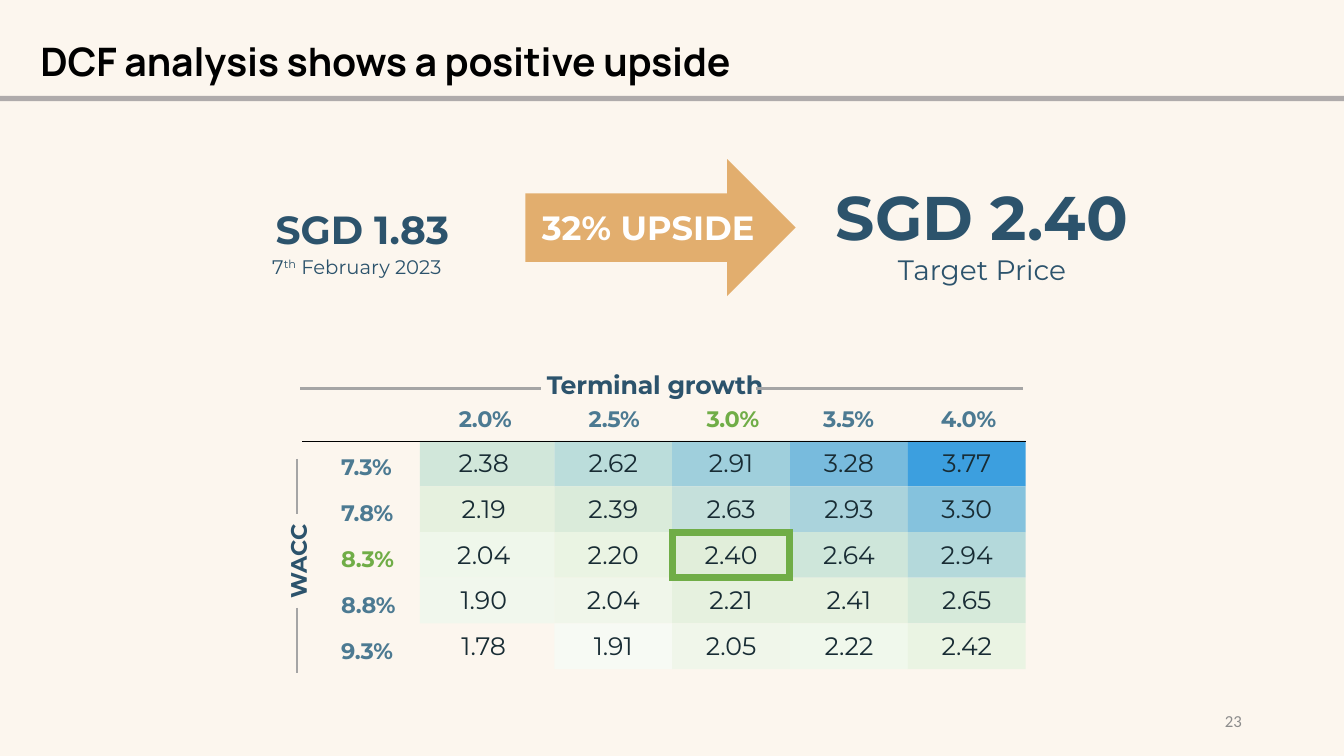
"""Build the DCF upside slide with its sensitivity table."""
from lxml import etree
from pptx import Presentation
from pptx import util as u
from pptx.dml.color import RGBColor
from pptx.enum import shapes, text
from pptx.oxml.ns import qn

HUE = {"back": "FCF6EE", "black": "000000", "white": "FFFFFF", "bar": "AFABAB",
       "rule": "A5A5A5", "page": "8C8C8C", "gold": "E2AE6E", "navy": "2C536C",
       "steel": "4C7A92", "green": "70AD47", "ink": "182C34"}
HEAT = {"7.3%": "D1E7DA BBDDDB 9FCFDC 78BBDD 3C9FDF",
        "7.8%": "E6F1DF DAEBDA C5E0DB AAD3DC 85C2DD",
        "8.3%": "EFF7EB EAF4E3 E1EEDA CEE6DA B4D9DB",
        "8.8%": "F1F7ED F0F6EA E6F1DF E6F1DF D6EADA",
        "9.3%": "none F7FAF4 F0F6EA F0F8EC EAF4E3"}
PRICE = {"7.3%": "2.38 2.62 2.91 3.28 3.77",
         "7.8%": "2.19 2.39 2.63 2.93 3.30",
         "8.3%": "2.04 2.20 2.40 2.64 2.94",
         "8.8%": "1.90 2.04 2.21 2.41 2.65",
         "9.3%": "1.78 1.91 2.05 2.22 2.42"}
GROWTH = ["2.0%", "2.5%", "3.0%", "3.5%", "4.0%"]
BASE = {"3.0%", "8.3%"}
TITLE = "DCF analysis shows a positive upside"

LEFT, TOP, ROW = 10.58, 11.11, 1.15
COLS = [3.39] + [2.97] * 4
HEADS = [3.3, 3.2, 2.78, 3.05, 3.0]
RULES = [(7.49, 11.56, 7.49, 12.95), (7.49, 15.32, 7.49, 16.97),
         (7.57, 9.79, 13.64, 9.79), (19.05, 9.79, 25.78, 9.79)]
PLAIN = "{2D5ABB26-0587-4C30-8999-92F81FD0307C}"
MID, RIGHT = text.PP_ALIGN.CENTER, text.PP_ALIGN.RIGHT
RECT = shapes.MSO_SHAPE.RECTANGLE

deck = Presentation()
deck.slide_width, deck.slide_height = u.Cm(33.87), u.Cm(19.05)
slide = deck.slides.add_slide(deck.slide_layouts[5])
items = slide.shapes


def rgb(name):
    return RGBColor.from_string(HUE.get(name, name))


def write(para, words, size, hue, bold=False, face="Montserrat", gap=0, lift=0):
    run = para.add_run()
    run.text = words
    font = run.font
    font.name, font.size, font.bold = face, u.Pt(size), bold
    font.color.rgb = rgb(hue)
    props = run._r.get_or_add_rPr()
    if gap:
        props.set("spc", str(gap))
    if lift:
        props.set("baseline", str(lift))


def inset(part, side=0, top=0):
    part.margin_left = part.margin_right = u.Cm(side)
    part.margin_top = part.margin_bottom = u.Cm(top)


def label(x, y, w, h, align=None):
    frame = items.add_textbox(*map(u.Cm, (x, y, w, h))).text_frame
    frame.word_wrap = True
    frame.paragraphs[0].alignment = align
    return frame


def block(kind, x, y, w, h, fill=None):
    shape = items.add_shape(kind, *map(u.Cm, (x, y, w, h)))
    shape.shadow.inherit = False
    if fill:
        shape.fill.solid()
        shape.fill.fore_color.rgb = rgb(fill)
    else:
        shape.fill.background()
    shape.line.fill.background()
    return shape


def rule(ends, hue, width):
    line = items.add_connector(shapes.MSO_CONNECTOR.STRAIGHT, *map(u.Cm, ends))
    line.line.color.rgb, line.line.width = rgb(hue), u.Pt(width)
    etree.SubElement(line._element.spPr, qn("a:effectLst"))


def grid(x, y, cols, count, high):
    spot = map(u.Cm, (x, y, sum(cols), count * high))
    table = items.add_table(count, len(cols), *spot).table
    table.first_row = table.horz_banding = False
    table._tbl.tblPr[0].text = PLAIN
    for col, width in zip(table.columns, cols):
        col.width = u.Cm(width)
    for cell in table.iter_cells():
        inset(cell)
        cell.fill.background()
        cell.text_frame.paragraphs[0].alignment = MID
    return table


back = slide.background.fill
back.solid()
back.fore_color.rgb = rgb("back")

head = items.title
head.left, head.top, head.width, head.height = map(u.Cm, (1.02, 0.91, 28.9, 1.24))
frame = head.text_frame
inset(frame)
frame.vertical_anchor = text.MSO_ANCHOR.MIDDLE
frame.paragraphs[0].alignment = text.PP_ALIGN.LEFT
write(frame.paragraphs[0], TITLE, 28, "black", True, "Manrope", -10)
block(RECT, 0, 2.42, 33.87, 0.13, "bar")

block(shapes.MSO_SHAPE.RIGHT_ARROW, 13.24, 4.01, 6.81, 3.45, "gold")
frame = label(12.93, 5.08, 6.81, 1.27, MID)
write(frame.paragraphs[0], "32% UPSIDE", 24, "white", True)
frame = label(6.61, 5.04, 5.05, 1.45, MID)
write(frame.paragraphs[0], "SGD 1.83", 28, "navy", True)
date = label(6.61, 6.3, 5.05, 0.87).paragraphs[0]
for words, lift in [("7", 0), ("th", 30000), (" February 2023", 0)]:
    write(date, words, 14, "navy", lift=lift)
frame = label(20.51, 4.38, 8.48, 3, MID)
write(frame.paragraphs[0], "SGD 2.40", 44, "navy", True)
goal = frame.add_paragraph()
goal.alignment = MID
write(goal, "Target Price", 20, "navy")

frame = label(13.78, 9.3, 6.1, 0.81)
inset(frame)
write(frame.paragraphs[0], "Terminal growth", 18, "navy", True, gap=-15)
frame = label(7.14, 11.29, 0.64, 3.78)
inset(frame)
frame._txBody.bodyPr.set("vert", "vert270")
frame.paragraphs[0].line_spacing = u.Pt(20.1)
write(frame.paragraphs[0], "WACC", 16, "navy", True, gap=-20)

table = grid(LEFT, 10.37, HEADS, 1, 0.7)
for cell, rate in zip(table.iter_cells(), GROWTH):
    para = cell.text_frame.paragraphs[0]
    para.line_spacing = u.Pt(15.2)
    write(para, rate, 16, "green" if rate in BASE else "steel", True, gap=-20)

for i, (rate, line) in enumerate(HEAT.items()):
    para = label(8.35, 11.3 + 1.16 * i, 2.5, 0.94).paragraphs[0]
    write(para, rate, 16, "green" if rate in BASE else "steel", True, gap=-20)
    for j, heat in enumerate(line.split()):
        if heat != "none":
            block(RECT, LEFT + sum(COLS[:j]), TOP + i * ROW, COLS[j], ROW, heat)

for ends in RULES:
    rule(ends, "rule", 1.5)
rule((7.62, TOP, LEFT + sum(COLS), TOP), "black", 0.5)
mark = block(RECT, LEFT + sum(COLS[:2]), TOP + 2 * ROW, COLS[2], ROW)
mark.line.color.rgb, mark.line.width = rgb("green"), u.Pt(5)
etree.SubElement(mark.line._get_or_add_ln(), qn("a:miter"), lim="800000")

table = grid(LEFT, TOP, COLS, len(PRICE), ROW)
for row, line in zip(table.rows, PRICE.values()):
    row.cells[0].margin_right = u.Cm(0.17)
    for cell, price in zip(row.cells, line.split()):
        cell.vertical_anchor = text.MSO_ANCHOR.MIDDLE
        write(cell.text_frame.paragraphs[0], price, 18, "ink")

frame = label(23.93, 17.65, 7.62, 1.02, RIGHT)
frame.vertical_anchor = text.MSO_ANCHOR.MIDDLE
write(frame.paragraphs[0], "23", 12, "page", face="Calibri")

deck.save("out.pptx")
